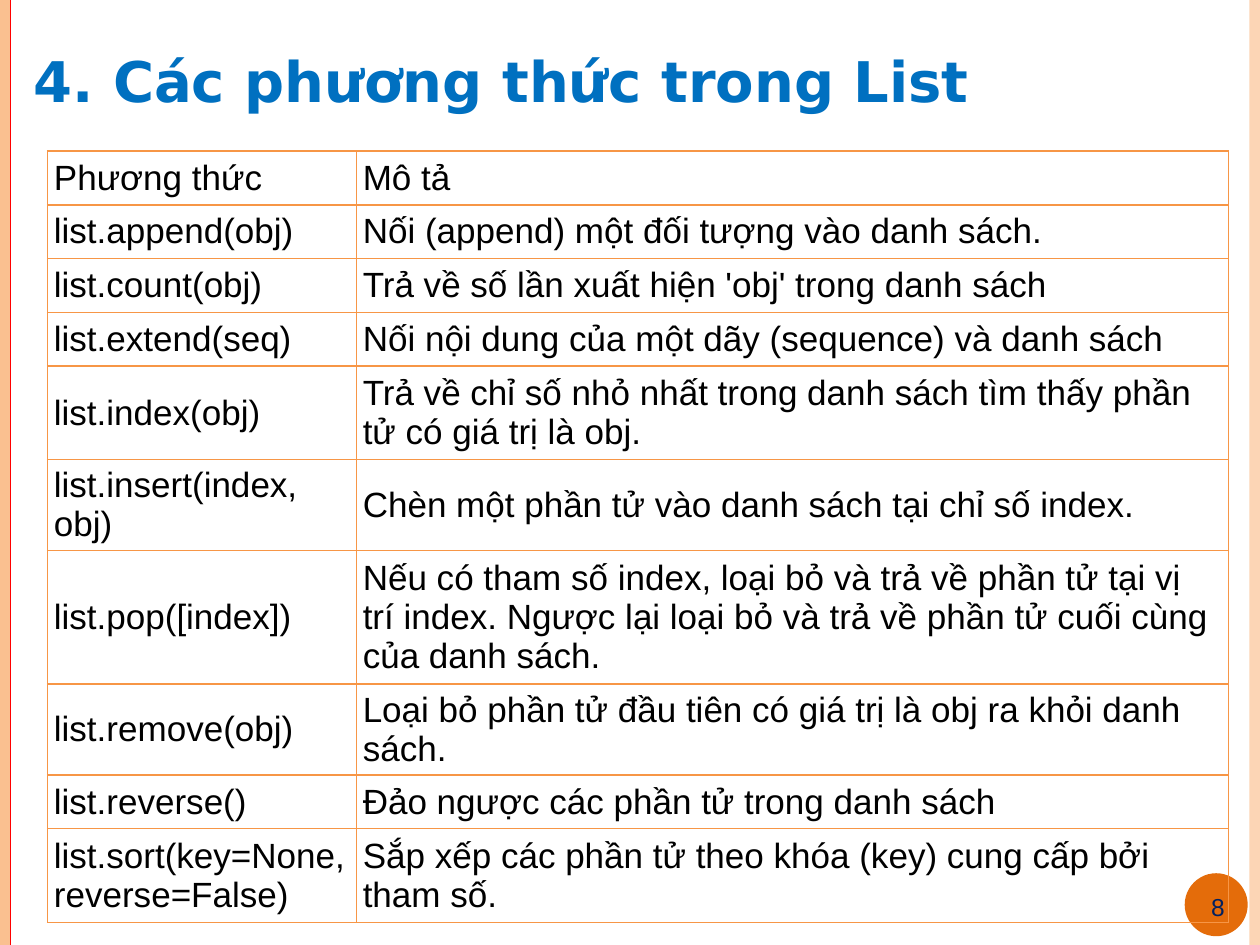
"""Build a slide with a table of Python list methods."""
from lxml.etree import SubElement
from pptx import Presentation
from pptx.dml.color import RGBColor
from pptx.enum.shapes import MSO_CONNECTOR, MSO_SHAPE
from pptx.enum.text import MSO_ANCHOR as ANCHOR, PP_ALIGN as ALIGN
from pptx.oxml.ns import qn
from pptx.util import Pt

W, H = 720, 540
COLORS = {
    "left_bar": "FAC090", "right_bar": "FCD5B5", "badge": "E46C0A",
    "rule": "FF0000", "title": "0070C0", "border": "F79646",
    "body": "000000", "number": "002060",
}
TITLE = "4. Các phương thức trong List"
PAGE = "8"
METHODS = [
    ("Phương thức", "Mô tả"),
    ("list.append(obj)", "Nối (append) một đối tượng vào danh sách."),
    ("list.count(obj)", "Trả về số lần xuất hiện 'obj' trong danh sách"),
    ("list.extend(seq)", "Nối nội dung của một dãy (sequence) và danh sách"),
    ("list.index(obj)", "Trả về chỉ số nhỏ nhất trong danh sách tìm thấy phần tử có giá trị là obj."),
    ("list.insert(index, obj)", "Chèn một phần tử vào danh sách tại chỉ số index."),
    ("list.pop([index])", "Nếu có tham số index, loại bỏ và trả về phần tử tại vị trí index. "
                          "Ngược lại loại bỏ và trả về phần tử cuối cùng của danh sách."),
    ("list.remove(obj)", "Loại bỏ phần tử đầu tiên có giá trị là obj ra khỏi danh sách."),
    ("list.reverse()", "Đảo ngược các phần tử trong danh sách"),
    ("list.sort(key=None, reverse=False)", "Sắp xếp các phần tử theo khóa (key) cung cấp bởi tham số."),
]
COL_WIDTHS = (176.5, 498.3)
ROW_HEIGHT = 30.7
TALL_ROWS = {4: 53.5, 5: 52, 6: 76.2, 7: 52, 9: 53.5}
SHAPES = [
    (MSO_SHAPE.RECTANGLE, "left_bar", (0, 0, 6, H)),
    (MSO_SHAPE.RECTANGLE, "right_bar", (W - 6, 0, 6, H)),
    (MSO_SHAPE.OVAL, "badge", (677, 499, 36, 36)),
]


def rgb(name):
    """Return a named colour."""
    return RGBColor.from_string(COLORS[name])


def write(tf, text, size=20, font="Arial", color="body", bold=False, align=ALIGN.LEFT, spacing=None):
    """Fill a text frame with one formatted paragraph."""
    tf.word_wrap = True
    p = tf.paragraphs[0]
    p.alignment = align
    if spacing:
        p.line_spacing = spacing
    r = p.add_run()
    r.text = text
    r.font.size, r.font.name, r.font.bold = Pt(size), font, bold
    r.font.color.rgb = rgb(color)


def add_text(s, box, text, **fmt):
    """Add a vertically centred text box."""
    tf = s.shapes.add_textbox(*map(Pt, box)).text_frame
    tf.vertical_anchor = ANCHOR.MIDDLE
    write(tf, text, **fmt)


def add_borders(cell):
    """Draw all four borders of a cell."""
    pr = cell._tc.get_or_add_tcPr()
    for i, side in enumerate(("lnL", "lnR", "lnT", "lnB")):
        ln = pr.makeelement(qn(f"a:{side}"), {"w": str(Pt(1))})
        fill = SubElement(ln, qn("a:solidFill"))
        SubElement(fill, qn("a:srgbClr"), val=COLORS["border"])
        pr.insert(i, ln)


def add_methods(s):
    """Add the table of methods."""
    heights = [TALL_ROWS.get(i, ROW_HEIGHT) for i in range(len(METHODS))]
    box = (27.2, 86.4, sum(COL_WIDTHS), sum(heights))
    table = s.shapes.add_table(len(METHODS), len(COL_WIDTHS), *map(Pt, box)).table
    table.first_row = table.horz_banding = False
    for col, width in zip(table.columns, COL_WIDTHS):
        col.width = Pt(width)
    for row, height, texts in zip(table.rows, heights, METHODS):
        row.height = Pt(height)
        for cell, text in zip(row.cells, texts):
            cell.margin_left = cell.margin_right = Pt(3.6)
            cell.margin_top = cell.margin_bottom = Pt(1.5)
            cell.vertical_anchor = ANCHOR.MIDDLE
            cell.fill.background()
            add_borders(cell)
            write(cell.text_frame, text)


def main():
    """Build and save the slide."""
    prs = Presentation()
    prs.slide_width, prs.slide_height = Pt(W), Pt(H)
    s = prs.slides.add_slide(prs.slide_layouts[6])
    for kind, color, box in SHAPES:
        sp = s.shapes.add_shape(kind, *map(Pt, box))
        sp.shadow.inherit = False
        sp.fill.solid()
        sp.fill.fore_color.rgb = rgb(color)
        sp.line.fill.background()
    rule = s.shapes.add_connector(MSO_CONNECTOR.STRAIGHT, Pt(6), Pt(0), Pt(6), Pt(H))
    rule.line.color.rgb = rgb("rule")
    rule.line.width = Pt(0.75)
    SubElement(rule._element.spPr, qn("a:effectLst"))
    add_text(s, (12, 0, 711, 72), TITLE, size=32, font="DejaVu Sans", color="title", bold=True, spacing=1.5)
    add_methods(s)
    add_text(s, (669, 503.5, 54, 29), PAGE, size=14, color="number", align=ALIGN.CENTER)
    prs.save("out.pptx")


if __name__ == "__main__":
    main()
